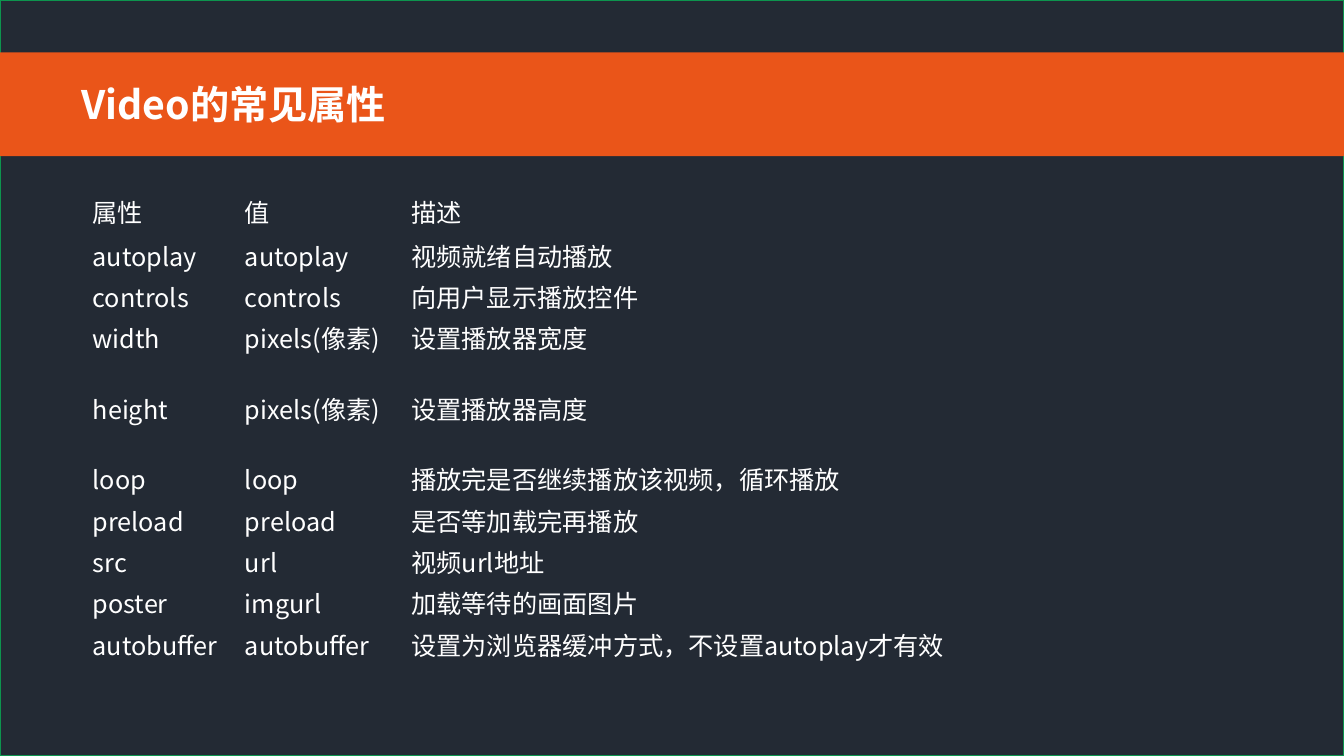
import pptx
import pptx.dml.color
import pptx.enum.shapes
import pptx.oxml
import pptx.oxml.ns
import pptx.util
from pptx.util import Inches

FONT = "Noto Sans CJK SC"
COLORS = {"background": "232A34", "border": "0D944E", "banner": "EA5519", "text": "FFFFFF"}
COLUMN_WIDTHS = [1.51, 1.65, 5.84]
HEADER_HEIGHT = 0.43
LINE_HEIGHT = 0.41
WRAPPED_HEIGHT = 0.7
ATTRIBUTES = [
    ("属性", "值", "描述"),
    ("autoplay", "autoplay", "视频就绪自动播放"),
    ("controls", "controls", "向用户显示播放控件"),
    ("width", "pixels(像素)", "设置播放器宽度"),
    ("height", "pixels(像素)", "设置播放器高度"),
    ("loop", "loop", "播放完是否继续播放该视频，循环播放"),
    ("preload", "preload", "是否等加载完再播放"),
    ("src", "url", "视频url地址"),
    ("poster", "imgurl", "加载等待的画面图片"),
    ("autobuffer", "autobuffer", "设置为浏览器缓冲方式，不设置autoplay才有效"),
]


def write(frame, text, size, bold=False):
    frame.text = text
    span = frame.paragraphs[0].runs[0]
    span.font.size = pptx.util.Pt(size)
    span.font.bold = bold
    span.font.name = FONT
    span.font.color.rgb = pptx.dml.color.RGBColor.from_string(COLORS["text"])
    east_asian = pptx.oxml.parse_xml(
        f'<a:ea {pptx.oxml.ns.nsdecls("a")} typeface="{FONT}"/>')
    span.font.fill  # colour comes before the typefaces
    span.font._element.find(pptx.oxml.ns.qn("a:latin")).addnext(east_asian)


def add_band(page, top, height, color):
    band = page.shapes.add_shape(
        pptx.enum.shapes.MSO_SHAPE.RECTANGLE, 0, Inches(top), Inches(13.33), Inches(height))
    band.shadow.inherit = False
    band.fill.solid()
    band.fill.fore_color.rgb = pptx.dml.color.RGBColor.from_string(COLORS[color])
    band.line.fill.background()
    return band


deck = pptx.Presentation()
deck.slide_width = Inches(13.33)
deck.slide_height = Inches(7.5)
page = deck.slides.add_slide(deck.slide_layouts[6])

backdrop = add_band(page, 0, 7.5, "background")
backdrop.line.color.rgb = pptx.dml.color.RGBColor.from_string(COLORS["border"])
backdrop.line.width = pptx.util.Pt(1)
add_band(page, 0.52, 1.03, "banner")

title = page.shapes.add_textbox(Inches(0.71), Inches(0.75), Inches(5.78), Inches(0.57))
title.text_frame.word_wrap = True
write(title.text_frame, "Video的常见属性", 28, bold=True)

table = page.shapes.add_table(
    len(ATTRIBUTES), len(COLUMN_WIDTHS),
    Inches(0.82), Inches(1.87), Inches(sum(COLUMN_WIDTHS)), Inches(4.37)).table
table.first_row = False
table.horz_banding = False
# "No Style, No Grid" table style
table._tbl.tblPr.find(pptx.oxml.ns.qn("a:tableStyleId")).text = "{2D5ABB26-0587-4C30-8999-92F81FD0307C}"
for column, width in zip(table.columns, COLUMN_WIDTHS):
    column.width = Inches(width)
for index, (row, texts) in enumerate(zip(table.rows, ATTRIBUTES)):
    wrapped = "像素" in texts[1]
    row.height = Inches(HEADER_HEIGHT if index == 0 else WRAPPED_HEIGHT if wrapped else LINE_HEIGHT)
    for cell, text in zip(row.cells, texts):
        cell.fill.background()
        cell.margin_bottom = 0
        write(cell.text_frame, text, 18)

deck.save("out.pptx")
